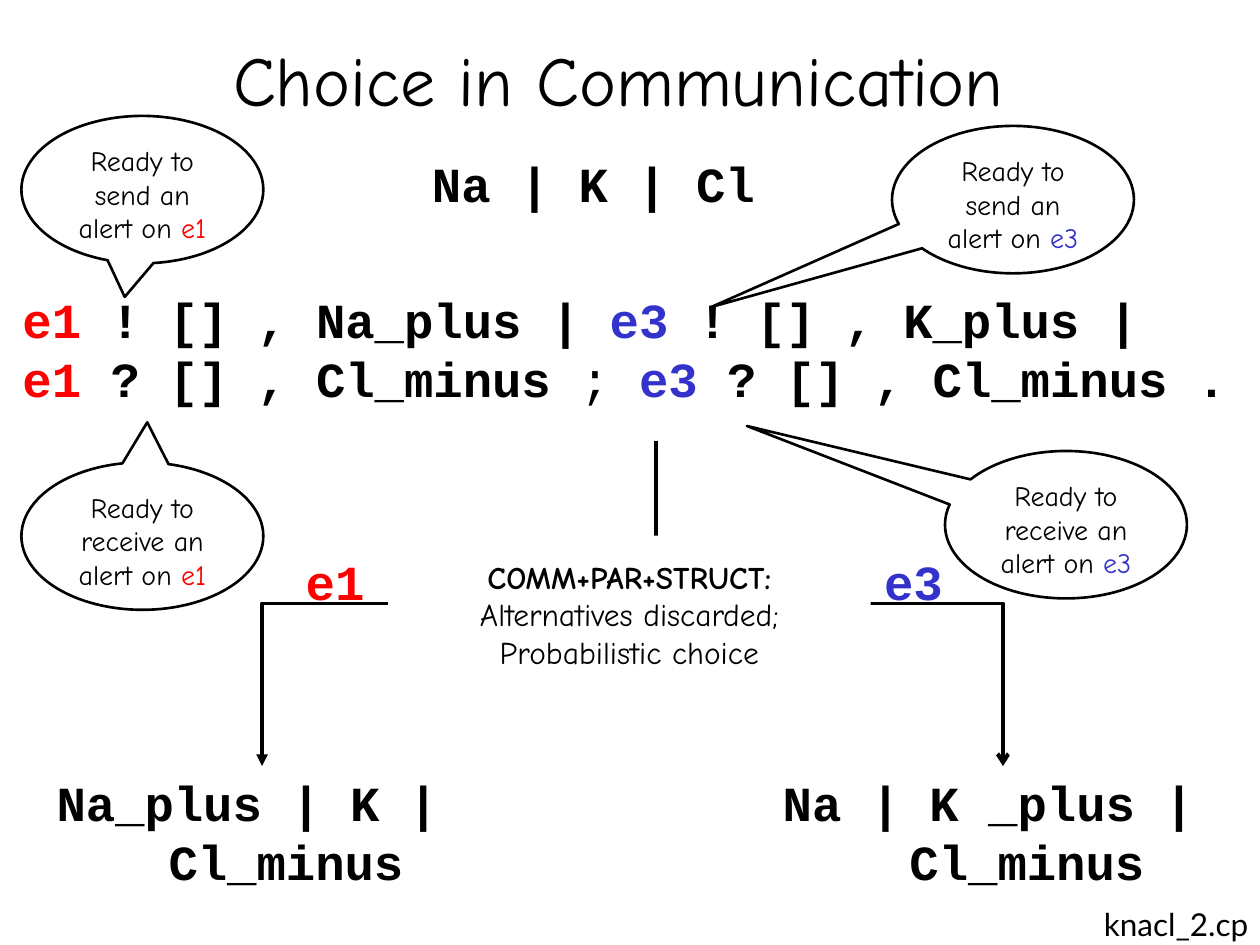
from dataclasses import dataclass

from lxml import etree
from pptx import Presentation
from pptx.dml.color import RGBColor
from pptx.enum import shapes, text
from pptx.oxml.ns import qn
from pptx.util import Inches, Pt


@dataclass(frozen=True)
class Theme:
    ink: RGBColor = RGBColor(0, 0, 0)
    paper: RGBColor = RGBColor(255, 255, 255)
    e1: RGBColor = RGBColor(0xFF, 0, 0)
    e3: RGBColor = RGBColor(0x33, 0x33, 0xCC)
    hand: str = "Comic Neue"
    code: str = "Courier New"
    plain: str = "Lato"
    title_size: int = 40
    code_size: int = 28
    note_size: int = 18
    callout_size: int = 16


THEME = Theme()
CENTER, LEFT = text.PP_ALIGN.CENTER, text.PP_ALIGN.LEFT


def style(run, font, size, color=THEME.ink, bold=False):
    run.font.name, run.font.size = font, Pt(size)
    run.font.color.rgb, run.font.bold = color, bold


def write(frame, lines, font, size, align=CENTER, hanging=False):
    """Fill one paragraph; each line is a list of (words, color, bold)."""
    paragraph = frame.paragraphs[0]
    paragraph.alignment = align
    if hanging:
        properties = paragraph._p.get_or_add_pPr()
        properties.set("marL", str(Inches(0.38)))
        properties.set("indent", str(-Inches(0.38)))
    for number, line in enumerate(lines):
        if number:
            paragraph.add_line_break()
        for words, color, bold in line:
            run = paragraph.add_run()
            run.text = words
            style(run, font, size, color, bold)


def text_box(slide, box, wrap=True):
    frame = slide.shapes.add_textbox(*map(Inches, box)).text_frame
    frame.word_wrap = wrap
    return frame


def code_block(slide, box, lines, align=CENTER, hanging=True):
    frame = text_box(slide, box)
    write(frame, lines, THEME.code, THEME.code_size, align, hanging)


def title(slide, box):
    heading = slide.shapes.title
    heading.left, heading.top, heading.width, heading.height = map(Inches, box)
    frame = heading.text_frame
    frame.text = "Choice in Communication "
    frame.auto_size = text.MSO_AUTO_SIZE.NONE
    frame.vertical_anchor = text.MSO_ANCHOR.MIDDLE
    frame.paragraphs[0].alignment = CENTER
    style(frame.paragraphs[0].runs[0], THEME.hand, THEME.title_size)


def file_name(slide, box):
    frame = text_box(slide, box, wrap=False)
    frame.vertical_anchor = text.MSO_ANCHOR.MIDDLE
    write(frame, [[("knacl_2.cp", THEME.ink, False)]], THEME.plain, THEME.note_size)


def program(slide, box):
    ink, e1, e3 = THEME.ink, THEME.e1, THEME.e3
    code_block(slide, box, [
        [("e1", e1, True), (" ! [] , Na_plus | ", ink, True),
         ("e3", e3, True), (" ! [] , K_plus | ", ink, True)],
        [("e1 ", e1, True), ("? [] , Cl_minus ", ink, True), ("; ", ink, False),
         ("e3", e3, True), (" ? [] , Cl_minus .", ink, True)],
    ], LEFT, hanging=False)


def callout(slide, left, top, pointer, action, event, color):
    balloon = slide.shapes.add_shape(
        shapes.MSO_SHAPE.OVAL_CALLOUT, *map(Inches, (left, top, 1.92, 1.17)))
    balloon.adjustments[0], balloon.adjustments[1] = pointer
    balloon.shadow.inherit = False
    balloon.fill.background()
    balloon.line.color.rgb, balloon.line.width = THEME.ink, Pt(1.5)
    frame = balloon.text_frame
    frame.word_wrap = True
    frame.vertical_anchor = text.MSO_ANCHOR.TOP
    write(frame, [[(f"Ready to {action} an alert on ", THEME.ink, False),
                   (event, color, False)]], THEME.hand, THEME.callout_size)


def down_elbow(slide, start, end, arrowhead):
    """Elbow leaving downwards: a level connector turned by a quarter."""
    (x1, y1), (x2, y2) = start, end
    length, spread = y2 - y1, abs(x2 - x1)
    left = (x1 + x2 - length) / 2
    top = (y1 + y2 - spread) / 2
    rightward = x2 > x1
    begin_x, end_x = (left + length, left) if rightward else (left, left + length)
    arrow = slide.shapes.add_connector(
        shapes.MSO_CONNECTOR.ELBOW, *map(Inches, (begin_x, top, end_x, top + spread)))
    arrow.line.color.rgb, arrow.line.width = THEME.ink, Pt(2.25)
    properties = arrow._element.spPr
    properties.find(qn("a:xfrm")).set("rot", str((270 if rightward else 90) * 60000))
    etree.SubElement(properties.find(qn("a:ln")), qn("a:tailEnd"), type=arrowhead)
    etree.SubElement(properties, qn("a:effectLst"))


def channel_label(slide, box, event, color):
    frame = text_box(slide, box, wrap=False)
    frame.auto_size = text.MSO_AUTO_SIZE.SHAPE_TO_FIT_TEXT
    # Slim side margins keep the two characters on one line
    frame.margin_left = frame.margin_right = Inches(0.05)
    write(frame, [[(event, color, True)]], THEME.code, THEME.code_size)


def outcome(slide, box, first_line, target_x, arrowhead, event, color, event_x):
    code_block(slide, box, [[(first_line, THEME.ink, True)],
                            [("Cl_minus", THEME.ink, True)]])
    down_elbow(slide, (5.21, 3.5), (target_x, box[1]), arrowhead)
    channel_label(slide, (event_x, 4.33, 0.66, 0.57), event, color)


def rule_note(slide, box):
    panel = slide.shapes.add_shape(shapes.MSO_SHAPE.RECTANGLE, *map(Inches, box))
    panel.shadow.inherit = False
    panel.fill.solid()
    panel.fill.fore_color.rgb = THEME.paper
    panel.line.fill.background()
    frame = panel.text_frame
    frame.word_wrap = False
    frame.vertical_anchor = text.MSO_ANCHOR.MIDDLE
    write(frame, [[("COMM+PAR+STRUCT:", THEME.ink, True)],
                  [("Alternatives discarded;", THEME.ink, False)],
                  [("Probabilistic choice", THEME.ink, False)]],
          THEME.hand, THEME.note_size)


def main():
    deck = Presentation()
    deck.slide_width, deck.slide_height = Inches(10), Inches(7.5)
    slide = deck.slides.add_slide(deck.slide_layouts[5])

    # Heading, file name and the program
    title(slide, (0.75, 0, 8.5, 1.25))
    file_name(slide, (8, 7.08, 2.67, 0.5))
    program(slide, (0.08, 2.25, 10.25, 1.25))
    code_block(slide, (2.25, 1.17, 4.92, 1), [[("Na | K | Cl", THEME.ink, True)]])

    # What each process is ready to do
    callout(slide, 0.17, 0.92, (-0.073, 0.728), "send", "e1", THEME.e1)
    callout(slide, 7.08, 1, (-1.247, 0.728), "send", "e3", THEME.e3)
    callout(slide, 0.17, 3.67, (0.02, -0.772), "receive", "e1", THEME.e1)
    callout(slide, 7.5, 3.58, (-1.319, -0.67), "receive", "e3", THEME.e3)

    # The two possible outcomes, then the rule that covers their fork
    outcome(slide, (5.17, 6.08, 5.58, 1), "Na | K _plus | ", 7.96, "arrow",
            "e3", THEME.e3, 6.92)
    outcome(slide, (0.08, 6.08, 4, 1), "Na_plus | K | ", 2.08, "triangle",
            "e1", THEME.e1, 2.33)
    rule_note(slide, (3.08, 4.25, 3.83, 1.25))

    deck.save("out.pptx")


if __name__ == "__main__":
    main()
